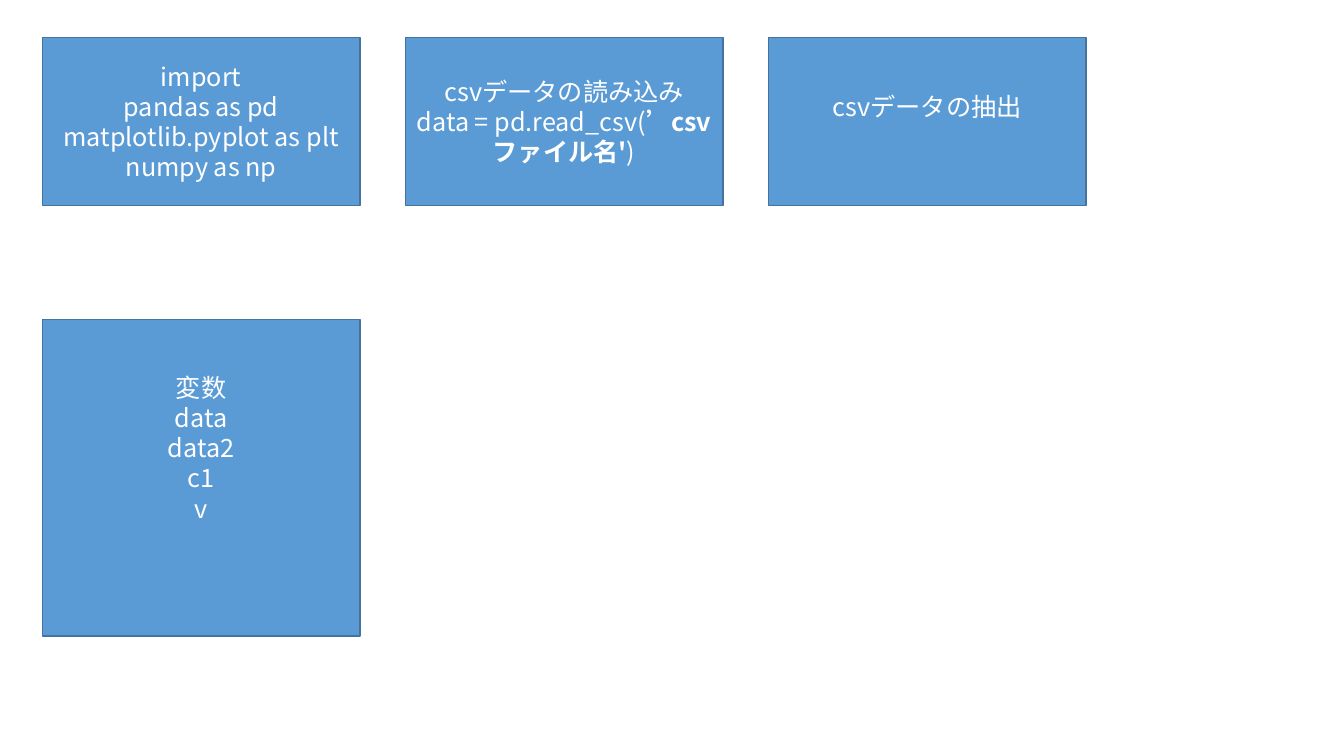
from lxml.etree import SubElement
from pptx import Presentation
from pptx.dml.color import RGBColor
from pptx.enum.shapes import MSO_SHAPE as Preset
from pptx.enum.text import MSO_ANCHOR as Anchor, PP_ALIGN as Align
from pptx.oxml.ns import qn
from pptx.util import Inches, Pt

COLORS = {"fill": "5B9BD5", "line": "43739E", "text": "FFFFFF"}
FONT = "Noto Sans CJK JP"
LEFT, TOP, WIDTH, STEP = 0.42, 0.37, 3.15, 3.6
STEP_HEIGHT = 1.67
INSET, TEXT_LINE = 0.05, 0.3

# Each line is a list of (text, bold) runs.
STEPS = [
    [[("import", False)], [("pandas as pd", False)],
     [("matplotlib.pyplot as plt", False)], [("numpy as np", False)]],
    [[("csvデータの読み込み", False)],
     [("data = pd.read_csv(", False), ("’csvファイル名'", True), (")", False)]],
    [[("csvデータの抽出", False)]],
]
VARIABLES = [[(name, False)] for name in ("変数", "data", "data2", "c1", "v")]


def color(name):
    """Return the named colour."""
    return RGBColor.from_string(COLORS[name])


def add_run(paragraph, text, bold):
    """Add one white run, with the font set for Latin and Japanese."""
    run = paragraph.add_run()
    run.text = text
    font_format = {"size": Pt(18), "name": FONT, "bold": bold}
    for attribute, value in font_format.items():
        setattr(run.font, attribute, value)
    run.font.color.rgb = color("text")
    properties = run.font._element
    SubElement(properties, qn("a:ea")).set("typeface", FONT)


def add_box(slide, box, lines, raised_lines=0):
    """Draw a blue box of centred lines, with room for raised_lines below."""
    shape = slide.shapes.add_shape(Preset.RECTANGLE, *map(Inches, box))
    shape.shadow.inherit = False
    shape.fill.solid()
    shape.fill.fore_color.rgb = color("fill")
    shape.line.color.rgb = color("line")
    shape.line.width = Pt(1)
    frame = shape.text_frame
    frame_format = {
        "word_wrap": True,
        "vertical_anchor": Anchor.MIDDLE,
        "margin_bottom": Inches(INSET + raised_lines * TEXT_LINE),
    }
    for attribute, value in frame_format.items():
        setattr(frame, attribute, value)
    for index, runs in enumerate(lines):
        paragraph = frame.add_paragraph() if index else frame.paragraphs[0]
        paragraph.alignment = Align.CENTER
        for text, bold in runs:
            add_run(paragraph, text, bold)


def add_steps(slide, left, top):
    """Place the processing steps in a row, the last one raised a line."""
    for index, lines in enumerate(STEPS):
        box = (left + index * STEP, top, WIDTH, STEP_HEIGHT)
        add_box(slide, box, lines, int(index == len(STEPS) - 1))


presentation = Presentation()
presentation.slide_width = Inches(13.33)
presentation.slide_height = Inches(7.5)
slide = presentation.slides.add_slide(presentation.slide_layouts[6])
add_steps(slide, LEFT, TOP)
add_box(slide, (LEFT, 3.17, WIDTH, 3.14), VARIABLES, raised_lines=2)
presentation.save("out.pptx")
